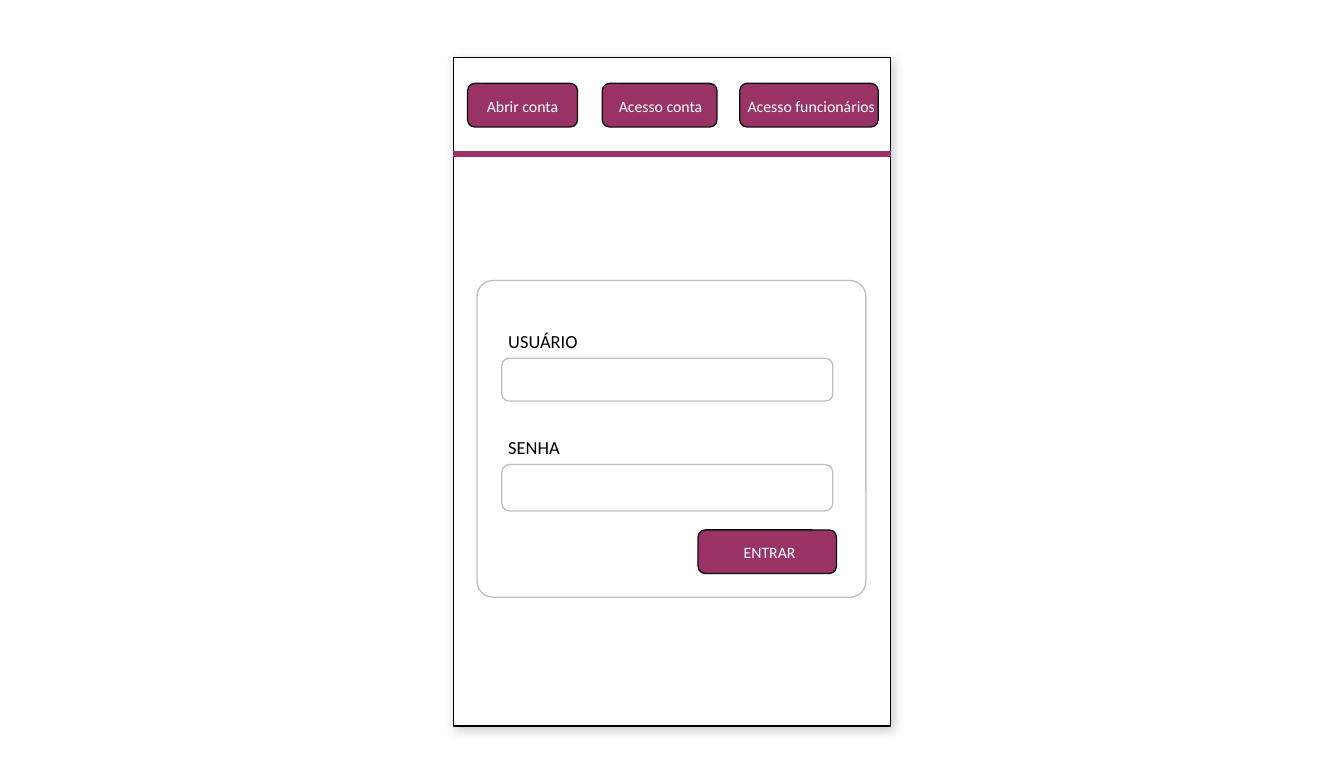
from lxml import etree
from pptx import Presentation
from pptx.dml.color import RGBColor
from pptx.enum.shapes import MSO_CONNECTOR, MSO_SHAPE
from pptx.enum.text import MSO_ANCHOR, MSO_AUTO_SIZE, PP_ALIGN
from pptx.oxml import parse_xml
from pptx.oxml.ns import nsdecls, qn
from pptx.util import Pt

RECT, ROUND = MSO_SHAPE.RECTANGLE, MSO_SHAPE.ROUNDED_RECTANGLE
STRAIGHT = MSO_CONNECTOR.STRAIGHT
MIDDLE, CENTER = MSO_ANCHOR.MIDDLE, PP_ALIGN.CENTER
GROW = MSO_AUTO_SIZE.SHAPE_TO_FIT_TEXT
PX = 9144  # 100 px to the inch

THEME = {
    "font": "Calibri",
    "white": RGBColor.from_string("FFFFFF"),
    "black": RGBColor.from_string("000000"),
    "plum": RGBColor.from_string("993366"),
    "edge": RGBColor.from_string("0D0D0D"),
    "gray": RGBColor.from_string("BFBFBF"),
    "shade": "808080",
    "label": 14,
    "button": 12,
}

deck = Presentation()
deck.slide_width, deck.slide_height = 1417 * PX, 827 * PX
slide = deck.slides.add_slide(deck.slide_layouts[6])
shapes = slide.shapes


def add_box(kind, box, fill, line):
    shape = shapes.add_shape(kind, *[n * PX for n in box])
    shape.shadow.inherit = False
    if fill is None:
        shape.fill.background()
    else:
        shape.fill.solid()
        shape.fill.fore_color.rgb = fill
    shape.line.color.rgb = line
    shape.line.width = Pt(1)
    return shape


def set_text(frame, text, size, color):
    frame.text = text
    font = frame.paragraphs[0].runs[0].font
    font.name, font.size = THEME["font"], Pt(size)
    font.color.rgb = color


# Phone screen with a soft shadow
screen = add_box(RECT, (478, 61, 461, 705), THEME["white"], THEME["black"])
effect = screen.element.spPr.find(qn("a:effectLst"))
effect.append(parse_xml(
    f'<a:outerShdw {nsdecls("a")} blurRad="{Pt(8)}" dist="{Pt(3)}" '
    f'dir="2700000" algn="tl" rotWithShape="0"><a:srgbClr val="{THEME["shade"]}">'
    '<a:alpha val="40000"/></a:srgbClr></a:outerShdw>'))

# Rule below the menu
rule = shapes.add_connector(STRAIGHT, 478 * PX, 162 * PX, 939 * PX, 162 * PX)
rule.line.color.rgb = THEME["plum"]
rule.line.width = Pt(4.5)
etree.SubElement(rule.element.spPr, qn("a:effectLst"))

# Login panel
panel = add_box(ROUND, (503, 296, 410, 334), None, THEME["gray"])
panel.adjustments[0] = 0.05

# Labels and entry fields
for text, top, high in (("USUÁRIO", 343, 45), ("SENHA", 455, 49)):
    label = shapes.add_textbox(526 * PX, top * PX, 202 * PX, 34 * PX)
    frame = label.text_frame
    frame.word_wrap = True
    frame.auto_size = GROW
    set_text(frame, text, THEME["label"], THEME["black"])
    add_box(ROUND, (529, top + 35, 349, high), THEME["white"], THEME["gray"])

# Buttons: text, left, top, width, left inset
buttons = (
    ("Abrir conta", 493, 88, 116, 0),
    ("Acesso conta", 635, 88, 121, 2),
    ("Acesso funcionários", 780, 88, 146, 5),
    ("ENTRAR", 736, 559, 146, 5),
)
for text, left, top, width, inset in buttons:
    button = add_box(ROUND, (left, top, width, 46), THEME["plum"], THEME["edge"])
    frame = button.text_frame
    frame.word_wrap = False
    frame.vertical_anchor = MIDDLE
    frame.margin_left, frame.margin_right = inset * PX, 0
    frame.margin_top, frame.margin_bottom = 2 * PX, 0
    set_text(frame, text, THEME["button"], THEME["white"])
    frame.paragraphs[0].alignment = CENTER

deck.save("out.pptx")
